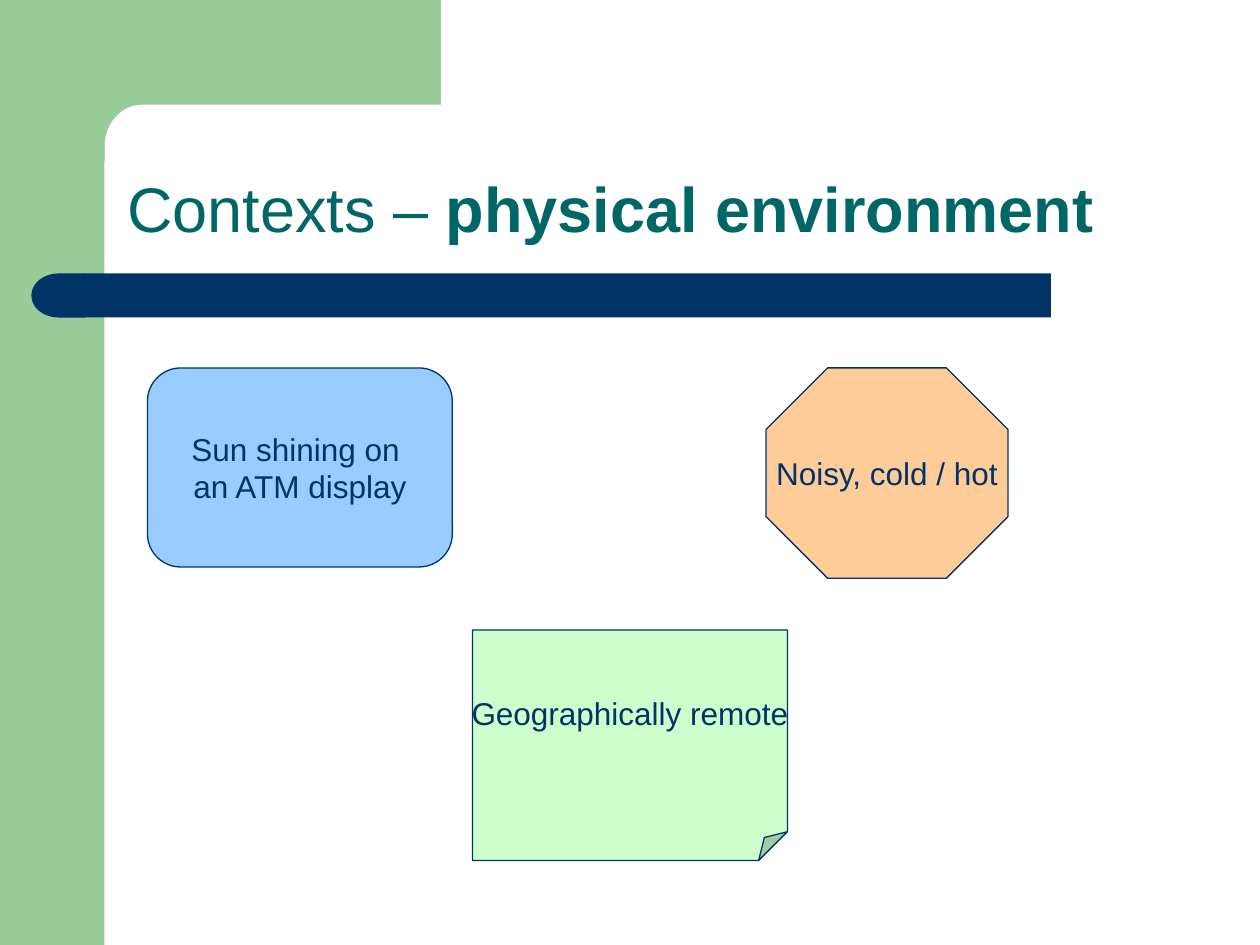
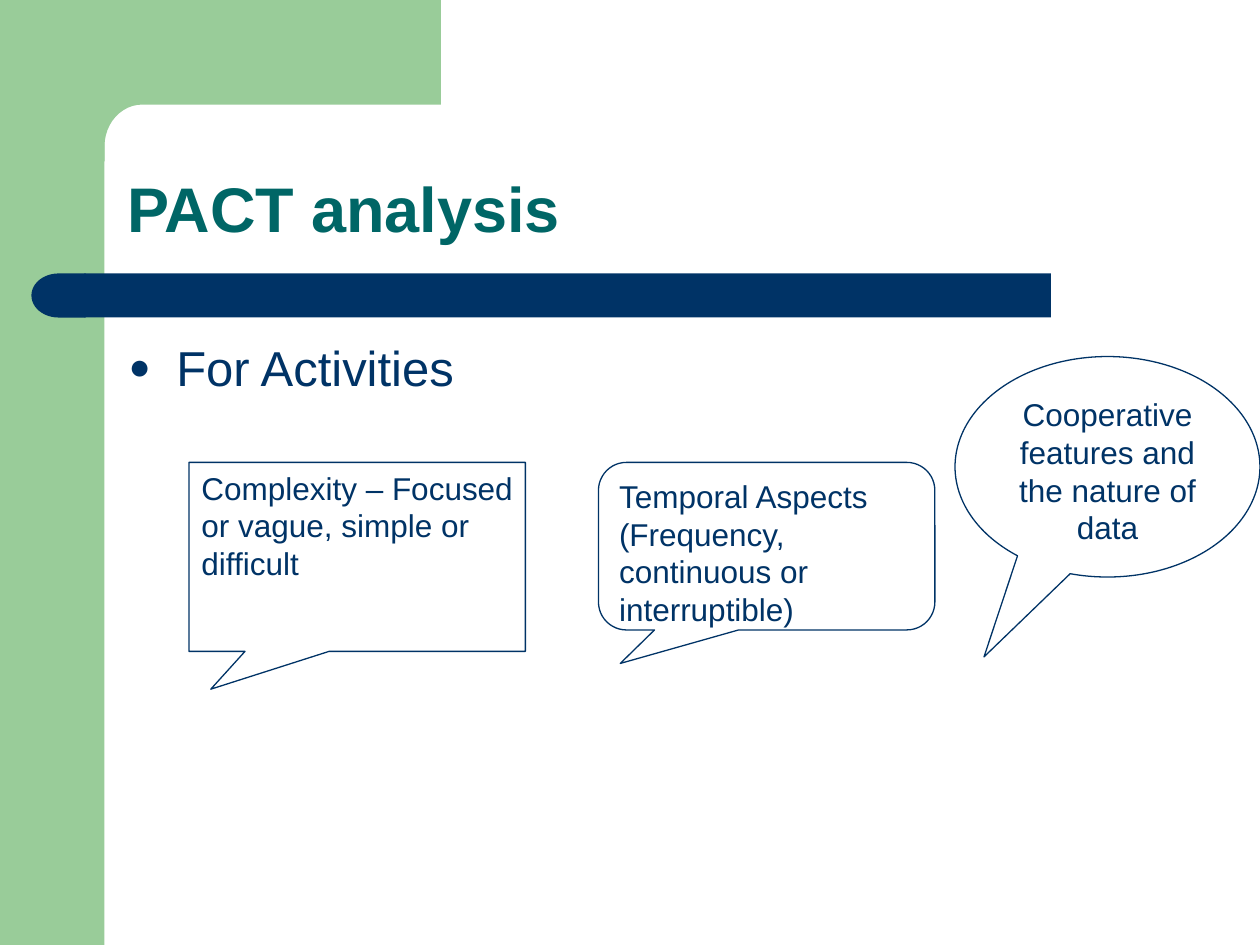
from math import cos, pi, sin

from lxml import etree
from pptx import Presentation
from pptx.dml.color import RGBColor
from pptx.enum.shapes import MSO_SHAPE as SHAPE
from pptx.enum.text import MSO_ANCHOR, MSO_AUTO_SIZE, PP_ALIGN
from pptx.oxml.ns import qn
from pptx.util import Inches, Pt

GREEN = RGBColor(0x99, 0xCC, 0x99)
NAVY = RGBColor(0x00, 0x33, 0x66)
TEAL = RGBColor(0x00, 0x66, 0x66)
BLUE = RGBColor(0x99, 0xCC, 0xFF)
PEACH = RGBColor(0xFF, 0xCC, 0x99)
MINT = RGBColor(0xCC, 0xFF, 0xCC)
WHITE = RGBColor(0xFF, 0xFF, 0xFF)

LEFT, CENTER = PP_ALIGN.LEFT, PP_ALIGN.CENTER
TOP, MIDDLE, BOTTOM = MSO_ANCHOR.TOP, MSO_ANCHOR.MIDDLE, MSO_ANCHOR.BOTTOM
FIXED = MSO_AUTO_SIZE.NONE
RECT, DELAY = SHAPE.RECTANGLE, SHAPE.FLOWCHART_DELAY
ROUND, OCTAGON, FOLDED = SHAPE.ROUNDED_RECTANGLE, SHAPE.OCTAGON, SHAPE.FOLDED_CORNER
RECT_CALL = SHAPE.RECTANGULAR_CALLOUT
ROUND_CALL = SHAPE.ROUNDED_RECTANGULAR_CALLOUT
OVAL_CALL = SHAPE.OVAL_CALLOUT

TITLE_FONT = {"name": "Arial", "size": Pt(36)}
BODY_FONT = {"name": "Arial", "size": Pt(28), "bold": False}
NOTE_FONT = {"name": "Arial", "size": Pt(18), "bold": False}


def write(para, text, look, color):
    run = para.add_run()
    run.text = text
    for key, value in look.items():
        setattr(run.font, key, value)
    run.font.color.rgb = color


def place(slide, kind, box, fill, line=None):
    shape = slide.shapes.add_shape(kind, *map(Inches, box))
    shape.shadow.inherit = False
    shape.fill.solid()
    shape.fill.fore_color.rgb = fill
    if line is None:
        shape.line.fill.background()
    else:
        shape.line.color.rgb = line
        shape.line.width = Pt(0.75)
    return shape


deck = Presentation()
deck.slide_width, deck.slide_height = Inches(10), Inches(7.5)

# Titles: the second slide also carries a body placeholder
titles = [
    (5, [("Contexts – ", False), ("physical environment", True)]),
    (1, [("PACT analysis", True)]),
]
for layout, parts in titles:
    slide = deck.slides.add_slide(deck.slide_layouts[layout])
    title = slide.shapes.title
    title.left, title.top = Inches(0.91), Inches(0.91)
    title.width, title.height = Inches(8.51), Inches(1.09)
    frame = title.text_frame
    frame.auto_size, frame.vertical_anchor = FIXED, BOTTOM
    para = frame.paragraphs[0]
    para.alignment, para.line_spacing = LEFT, 0.9
    for text, bold in parts:
        write(para, text, {**TITLE_FONT, "bold": bold}, TEAL)
context, pact = deck.slides

# Shared frame: side band, rounded corner and title bar, moved to the master
side = place(context, RECT, (0, 0, 0.83, 7.5), GREEN)
arc = [(1.13 - 0.3 * sin(i * pi / 24), 1.16 - 0.33 * cos(i * pi / 24)) for i in range(13)]
edge = [(3.5, 0.83), *arc, (0.83, 1.28), (0.5, 1.28), (0.5, 0)]
pen = context.shapes.build_freeform(Inches(3.5), 0)
pen.add_line_segments([(Inches(x), Inches(y)) for x, y in edge], close=True)
corner = pen.convert_to_shape()
corner.shadow.inherit = False
corner.fill.solid()
corner.fill.fore_color.rgb = GREEN
corner.line.fill.background()
bar = place(context, RECT, (0.67, 2.17, 7.67, 0.35), NAVY)
cap = place(context, DELAY, (0.25, 2.17, 0.43, 0.35), NAVY)
cap.element.spPr.find(qn("a:xfrm")).set("flipH", "1")

tree = deck.slide_master.shapes.element
for i, part in enumerate((side, corner, bar, cap)):
    part.element.nvSpPr.cNvPr.set("id", str(20 + i))
    tree.insert(2 + i, part.element)

# Body bullet
body = pact.placeholders[1]
body.left, body.top = Inches(0.92), Inches(2.58)
body.width, body.height = Inches(8.41), Inches(4.07)
frame = body.text_frame
frame.auto_size, frame.margin_top = FIXED, Inches(0.1)
para = frame.paragraphs[0]
props = para._p.get_or_add_pPr()
props.set("marL", str(Inches(0.38)))
props.set("indent", str(-Inches(0.38)))
tint = etree.SubElement(props, qn("a:buClr"))
etree.SubElement(tint, qn("a:srgbClr"), val=str(NAVY))
etree.SubElement(props, qn("a:buSzPct"), val="75000")
etree.SubElement(props, qn("a:buFont"), typeface="Arial")
etree.SubElement(props, qn("a:buChar"), char="●")
para.space_before = Pt(0)
write(para, "For Activities", BODY_FONT, NAVY)

# Notes: slide, kind, box, fill, adjustments, alignment, lines
notes = [
    (context, ROUND, (1.17, 2.92, 2.42, 1.58), BLUE, {"adj": 0.167}, CENTER,
     ["Sun shining on ", "an ATM display"]),
    (context, OCTAGON, (6.08, 2.92, 1.92, 1.67), PEACH, {"adj": 0.293}, CENTER,
     ["Noisy, cold / hot"]),
    (context, FOLDED, (3.75, 5, 2.5, 1.83), MINT, {"adj": 0.125}, CENTER,
     ["Geographically remote"]),
    (pact, RECT_CALL, (1.5, 3.67, 2.67, 1.5), WHITE,
     {"adj1": -0.435, "adj2": 0.7}, LEFT,
     ["Complexity – Focused or vague, simple or difficult"]),
    (pact, ROUND_CALL, (4.75, 3.67, 2.67, 1.33), WHITE,
     {"adj1": -0.435, "adj2": 0.7, "adj3": 0.167}, LEFT,
     ["Temporal Aspects (Frequency, continuous or interruptible)"]),
    (pact, OVAL_CALL, (7.58, 2.83, 2.42, 1.75), WHITE,
     {"adj1": -0.405, "adj2": 0.862}, CENTER,
     ["Cooperative features and the nature of data"]),
]
for slide, kind, box, fill, adjust, align, lines in notes:
    note = place(slide, kind, box, fill, NAVY)
    # Guides go in as XML, as some presets list no adjustments
    preset = note.element.spPr.find(qn("a:prstGeom"))
    for old in list(preset):
        preset.remove(old)
    guides = etree.SubElement(preset, qn("a:avLst"))
    for name, value in adjust.items():
        etree.SubElement(guides, qn("a:gd"), name=name, fmla=f"val {round(value * 100000)}")
    frame = note.text_frame
    frame.word_wrap = slide is pact
    frame.vertical_anchor = TOP if slide is pact else MIDDLE
    if kind == FOLDED:
        frame.margin_bottom = Inches(0.34)
    for i, line in enumerate(lines):
        para = frame.add_paragraph() if i else frame.paragraphs[0]
        para.alignment = align
        write(para, line, NOTE_FONT, NAVY)

deck.save("out.pptx")
